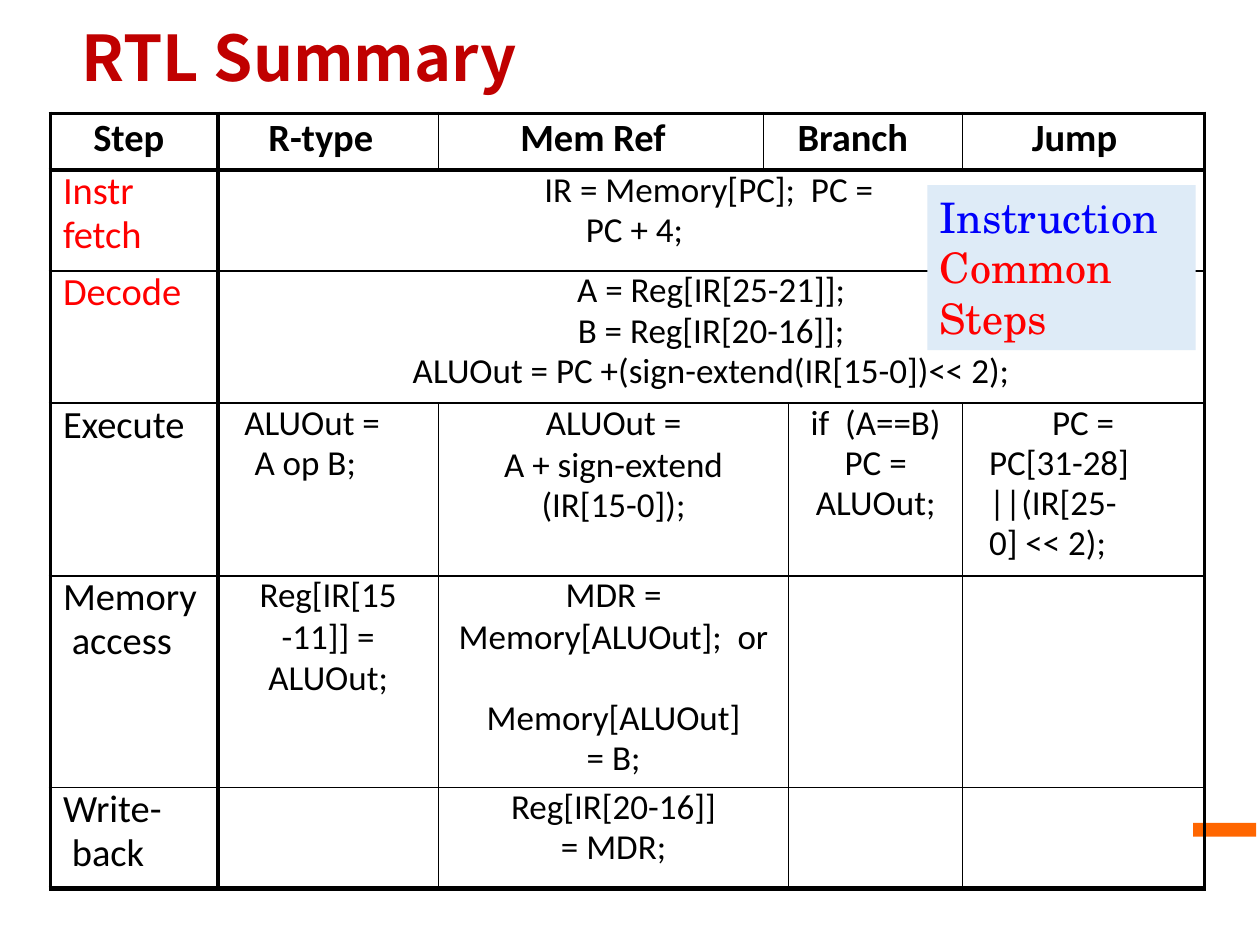
"""Build the RTL summary slide: a table of steps by instruction class."""
from lxml import etree
from pptx import Presentation
from pptx.dml.color import RGBColor
from pptx.enum.shapes import MSO_SHAPE
from pptx.enum.text import MSO_ANCHOR, PP_ALIGN
from pptx.oxml.ns import qn
from pptx.util import Inches, Pt

LEFT, CENTER = PP_ALIGN.LEFT, PP_ALIGN.CENTER
TOP, MIDDLE = MSO_ANCHOR.TOP, MSO_ANCHOR.MIDDLE
RECTANGLE = MSO_SHAPE.RECTANGLE
NO_GRID = "{2D5ABB26-0587-4C30-8999-92F81FD0307C}"
COLORS = {"title": "C00000", "ink": "000000", "common": "FF0000",
          "instruction": "0000FB", "legend": "DEEBF7", "accent": "FF6600"}


def add_text(paragraph, text, size, color, font="Calibri", bold=False):
    run = paragraph.add_run()
    run.text = text
    formats = {"size": Pt(size), "name": font, "bold": bold}
    for name, value in formats.items():
        setattr(run.font, name, value)
    run.font.color.rgb = RGBColor.from_string(COLORS[color])


def add_border(cell, side, width):
    line = etree.SubElement(cell._tc.get_or_add_tcPr(), qn(f"a:{side}"), w=str(Pt(width)))
    fill = etree.SubElement(line, qn("a:solidFill"))
    etree.SubElement(fill, qn("a:srgbClr"), val=COLORS["ink"])


presentation = Presentation()
presentation.slide_width, presentation.slide_height = Inches(10), Inches(7.5)
slide = presentation.slides.add_slide(presentation.slide_layouts[6])

accent = slide.shapes.add_shape(
    RECTANGLE, Inches(9.47), Inches(6.53), Inches(0.5), Inches(0.11))
accent.fill.solid()
accent.fill.fore_color.rgb = RGBColor.from_string(COLORS["accent"])
accent.line.fill.background()
accent.shadow.inherit = False

title = slide.shapes.add_textbox(Inches(0.64), Inches(0.17), Inches(4.41), Inches(0.55))
title_formats = {"margin_left": Inches(0.01), "margin_top": Inches(0.01), "margin_right": 0,
                 "margin_bottom": 0, "word_wrap": True, "vertical_anchor": MIDDLE}
for name, value in title_formats.items():
    setattr(title.text_frame, name, value)
add_text(title.text_frame.paragraphs[0], "RTL Summary", 36, "title", "Noto Sans CJK SC", True)

column_widths = [1.33, 1.75, 2.58, 0.2, 1.38, 1.92]
row_heights = [0.45, 0.8, 1.05, 1.37, 1.68, 0.8]
last_row, last_column = len(row_heights) - 1, len(column_widths) - 1
steps = slide.shapes.add_table(
    len(row_heights), len(column_widths), Inches(0.4), Inches(0.9),
    Inches(sum(column_widths)), Inches(sum(row_heights))).table
steps.first_row = steps.horz_banding = False
steps._tbl.tblPr.find(qn("a:tableStyleId")).text = NO_GRID
for column, width in zip(steps.columns, column_widths):
    column.width = Inches(width)
for row, height in zip(steps.rows, row_heights):
    row.height = Inches(height)

spans = {(0, 3): 4, (1, 1): 5, (2, 1): 5, (3, 2): 3, (4, 2): 3, (5, 2): 3}
for (row, column), end in spans.items():
    steps.cell(row, column).merge(steps.cell(row, end))

headings = {0: ("Step", 0.34), 1: ("R-type", 0.4), 2: ("Mem Ref", 0.65),
            3: ("Branch", 0.27), 5: ("Jump", 0.55)}
step_names = [("Instr\vfetch", 0.1, 0), ("Decode", 0.1, 0), ("Execute", 0.1, 0),
              ("Memory\vaccess", 0.17, -0.07), ("Write-\vback", 0.17, -0.07)]
operations = {
    (1, 1): [("IR = Memory[PC];  PC =\vPC + 4;", LEFT, 2.92, -0.33, 3.5)],
    (2, 1): [("A = Reg[IR[25-21]];", CENTER, 0, 0, 0.4),
             ("B = Reg[IR[20-16]];", CENTER, 0, 0, 0),
             ("ALUOut = PC +(sign-extend(IR[15-0])<< 2);", CENTER, 0, 0, 0)],
    (3, 1): [("ALUOut =", LEFT, 0.21, 0, 0.4), ("A op B;", LEFT, 0.29, 0, 0)],
    (3, 2): [("ALUOut =", CENTER, 0, 0, 0.4),
             ("A + sign-extend\v(IR[15-0]);", CENTER, 0, 0, 1.1)],
    (3, 4): [("if  (A==B)\vPC =\vALUOut;", CENTER, 0, 0, 3)],
    (3, 5): [("PC =\vPC[31-28]", LEFT, 0.21, 0.5, 3),
             ("||(IR[25-", LEFT, 0.21, 0, 0), ("0] << 2);", LEFT, 0.21, 0, 0)],
    (4, 1): [("Reg[IR[15", CENTER, 0, 0, 0.4), ("-11]] =\vALUOut;", CENTER, 0, 0, 1.1)],
    (4, 2): [("MDR =", CENTER, 0, 0, 0.4), ("Memory[ALUOut];  or", CENTER, 0, 0, 1),
             ("Memory[ALUOut]", CENTER, 0, 0, 23), ("= B;", CENTER, 0, 0, 0)],
    (5, 2): [("Reg[IR[20-16]]", CENTER, 0, 0, 0.4), ("= MDR;", CENTER, 0, 0, 0)],
}

contents = {position: (20, "ink", False, 23, lines) for position, lines in operations.items()}
for column, (heading, indent) in headings.items():
    contents[0, column] = (22, "ink", True, None, [(heading, LEFT, indent, 0, 2.5)])
for row, (step, margin, indent) in enumerate(step_names, 1):
    color = "common" if row < 3 else "ink"
    contents[row, 0] = (22, color, False, 25.1, [(step, LEFT, margin, indent, 4)])

for (row, column), (size, color, bold, spacing, lines) in contents.items():
    frame = steps.cell(row, column).text_frame
    for number, (text, alignment, margin, indent, before) in enumerate(lines):
        paragraph = frame.add_paragraph() if number else frame.paragraphs[0]
        formats = {"alignment": alignment, "space_before": Pt(before),
                   "line_spacing": Pt(spacing) if spacing else None}
        for name, value in formats.items():
            setattr(paragraph, name, value)
        properties = paragraph._p.get_or_add_pPr()
        properties.set("marL", str(Inches(margin)))
        properties.set("indent", str(Inches(indent)))
        for part_number, part in enumerate(text.split("\v")):
            if part_number:
                paragraph.add_line_break()
            add_text(paragraph, part, size, color, bold=bold)

cell_formats = {"margin_left": 0, "margin_right": 0, "margin_top": Inches(0.01),
                "margin_bottom": 0, "vertical_anchor": TOP}
for row in range(last_row + 1):
    for column in range(last_column + 1):
        cell = steps.cell(row, column)
        for name, value in cell_formats.items():
            setattr(cell, name, value)
        if not cell.is_spanned:
            end = spans.get((row, column), column)
            add_border(cell, "lnL", 2.25 if column < 2 else 1)
            add_border(cell, "lnR", 2.25 if end in (0, last_column) else 1)
        add_border(cell, "lnT", 2.25 if row < 2 else 1)
        add_border(cell, "lnB", {0: 2.25, last_row: 3}.get(row, 1))
        cell.fill.background()

legend = slide.shapes.add_shape(
    RECTANGLE, Inches(7.36), Inches(1.47), Inches(2.13), Inches(1.31))
legend.fill.solid()
legend.fill.fore_color.rgb = RGBColor.from_string(COLORS["legend"])
legend.line.fill.background()
legend.shadow.inherit = False
legend.text_frame.word_wrap = True
legend.text_frame.vertical_anchor = TOP
label = legend.text_frame.paragraphs[0]
label.alignment = LEFT
for text, color in [("Instruction ", "instruction"), ("Common Steps", "common")]:
    add_text(label, text, 24, color, "TeX Gyre Schola")

presentation.save("out.pptx")
